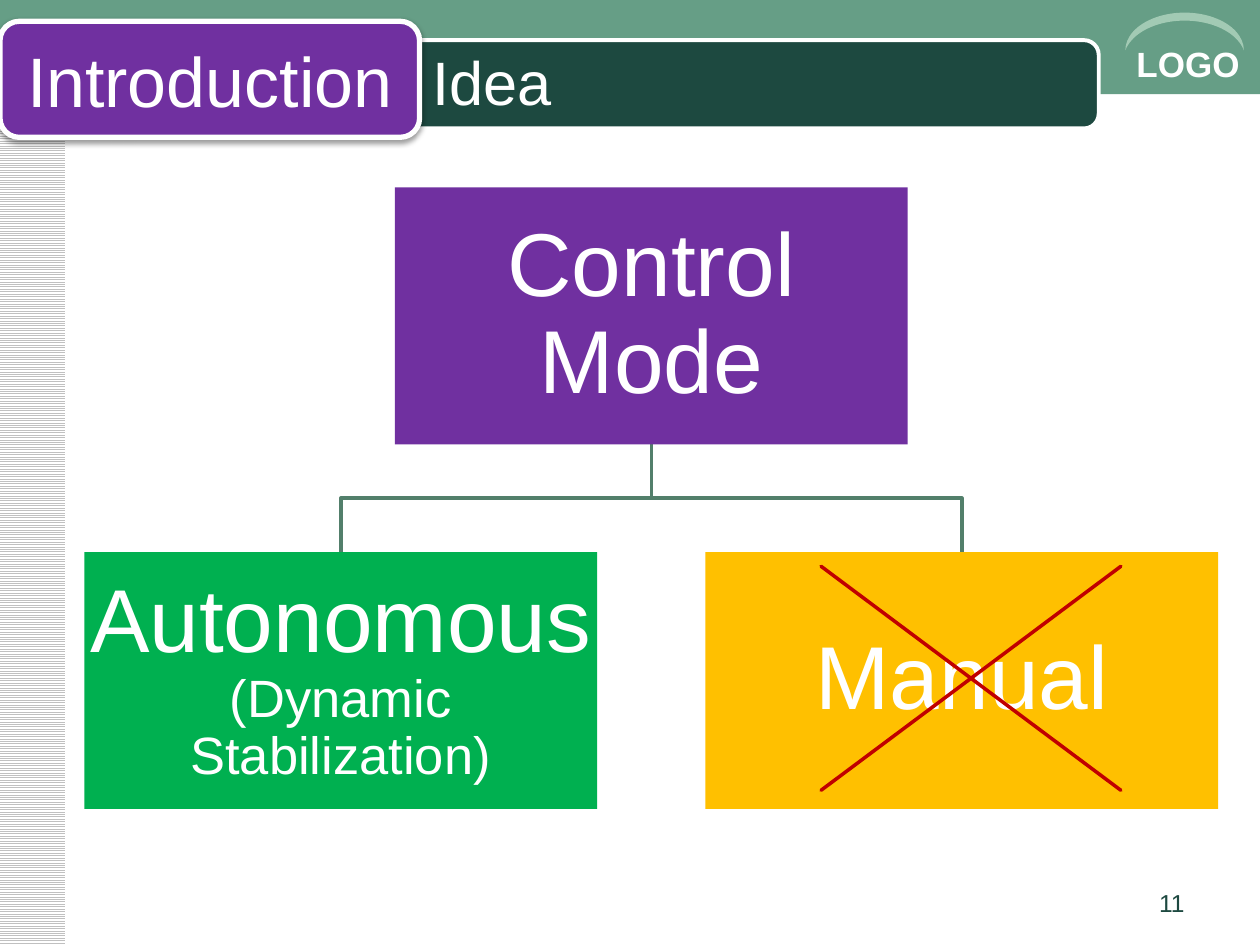
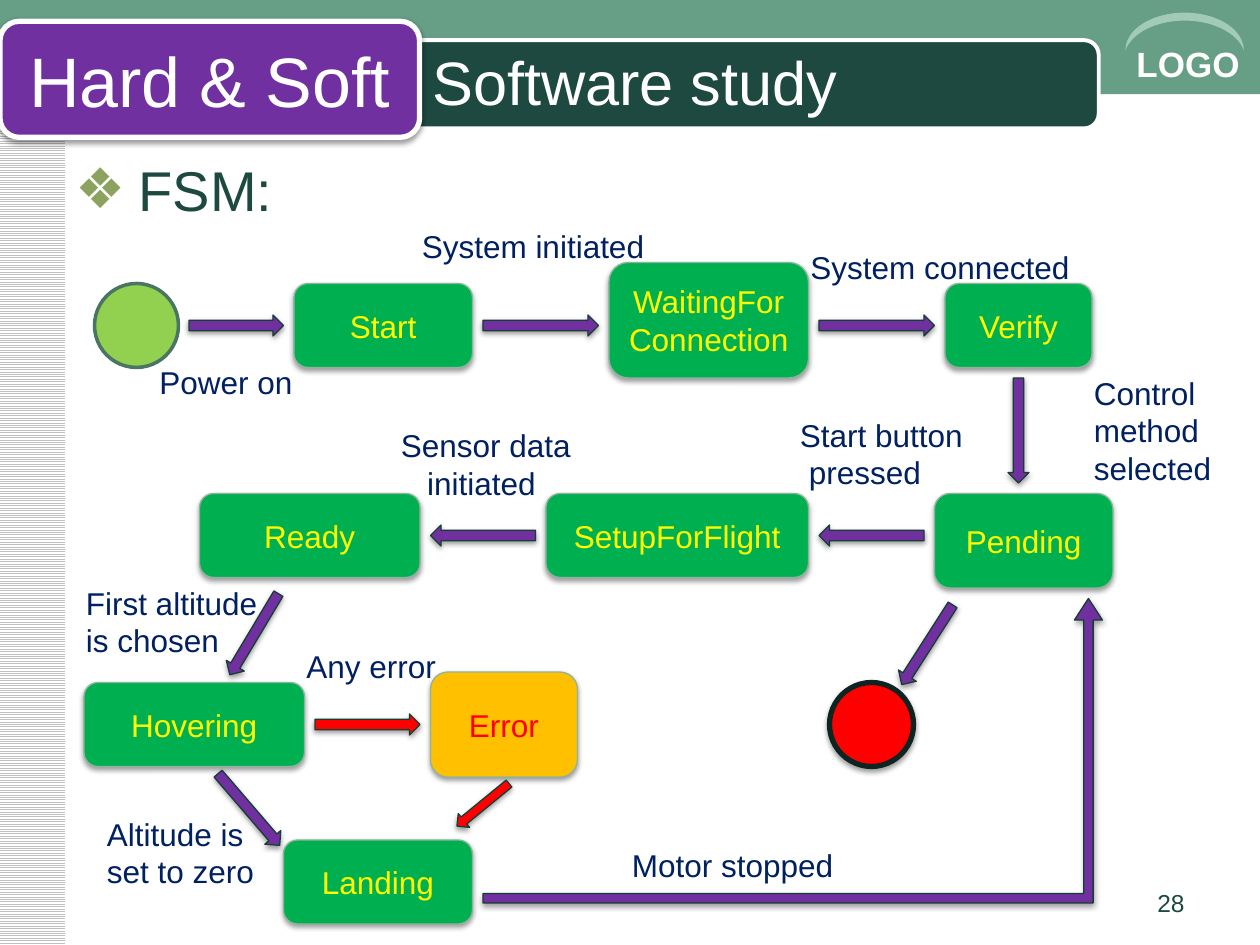
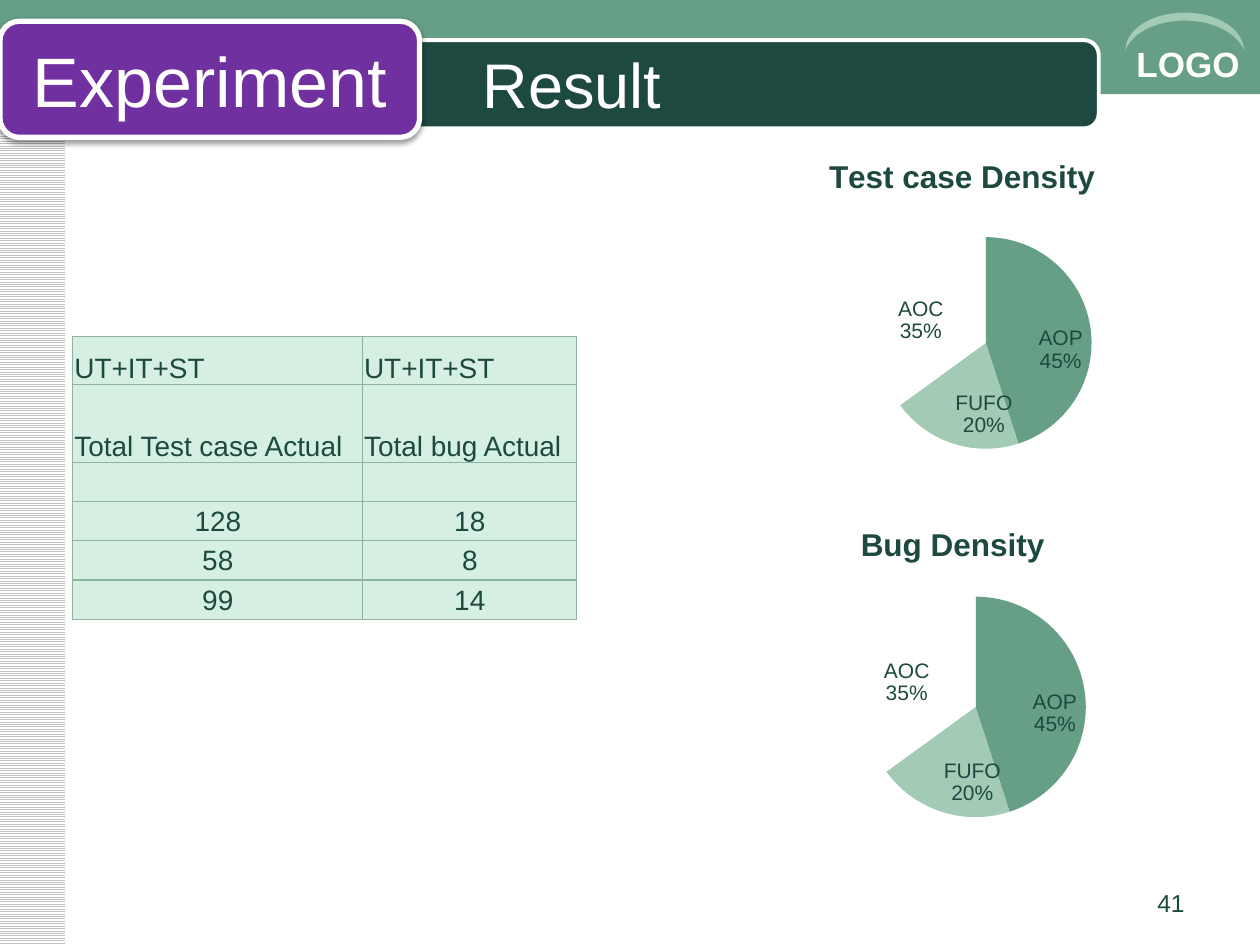
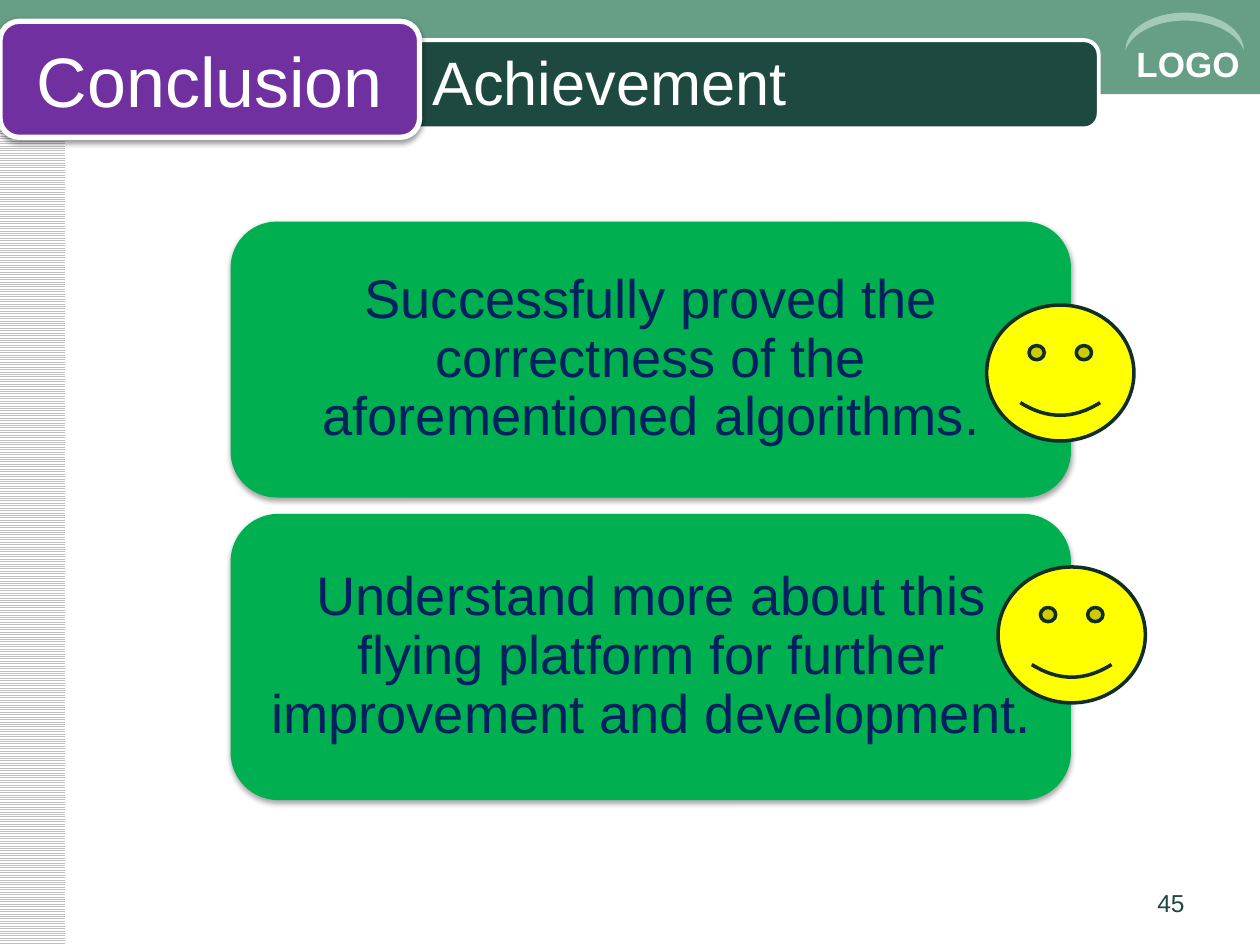
from dataclasses import dataclass

from lxml import etree
from pptx import Presentation
from pptx import util as u
from pptx.chart.data import CategoryChartData
from pptx.dml.color import RGBColor
from pptx.enum import chart as ch, dml, shapes, text
from pptx.oxml.ns import qn

SHAPE = shapes.MSO_SHAPE
ALIGN = text.PP_ALIGN
ANCHOR = text.MSO_ANCHOR


@dataclass(frozen=True)
class Theme:
    font: str = "Arial"
    white: str = "FFFFFF"
    dark: str = "1D4940"
    band: str = "669E86"
    pale: str = "A2CAB4"
    border: str = "8EB49F"
    mint: str = "D5F0E2"
    stripe: str = "C0C0C0"
    branch: str = "527F6B"
    purple: str = "7030A0"
    green: str = "00B050"
    amber: str = "FFC000"
    lime: str = "92D050"
    lime_edge: str = "4B7563"
    red: str = "FF0000"
    cross: str = "C00000"
    yellow: str = "FFFF00"
    navy: str = "002060"
    arrow_edge: str = "163D34"
    final_edge: str = "0E2420"
    smile_edge: str = "112D27"
    bullet: str = "8CA35F"
    badge_size: float = 40
    title_size: float = 35
    result_size: float = 36
    list_size: float = 32
    card_size: float = 31
    node_size: float = 51
    detail_size: float = 30
    logo_size: float = 20
    state_size: float = 18
    cell_size: float = 16
    number_size: float = 14
    slice_size: float = 12


THEME = Theme()


@dataclass(frozen=True)
class Box:
    left: float
    top: float
    width: float
    height: float

    def inside(self, left, top, width, height):
        return Box(self.left + left, self.top + top, width, height)

    def cells(self, column, row, columns, rows):
        cell = self.width / 120
        return self.inside(column * cell, row * cell, columns * cell, rows * cell)

    def emu(self):
        return [u.Cm(side) for side in (self.left, self.top, self.width, self.height)]


PAGE = Box(0, 0, 25.4, 19.05)
TITLE = Box(8.46, 0.84, 14.4, 1.57)


def rgb(color):
    return RGBColor.from_string(color)


def style_font(font, size, color, bold=False):
    font.name = THEME.font
    font.size = u.Pt(size)
    font.bold = bold
    font.color.rgb = rgb(color)


def write(frame, words, size, color, align=ALIGN.LEFT, bold=False):
    frame.text = words
    for paragraph in frame.paragraphs:
        paragraph.alignment = align
        for run in paragraph.runs:
            style_font(run.font, size, color, bold)


def add_shadow(shape, opacity=38):
    effects = shape.element.spPr.find(qn("a:effectLst"))
    shadow = etree.SubElement(effects, qn("a:outerShdw"), blurRad=str(u.Pt(3.1)),
                              dist=str(u.Pt(1.6)), dir="5400000", rotWithShape="0")
    shade = etree.SubElement(shadow, qn("a:srgbClr"), val="000000")
    etree.SubElement(shade, qn("a:alpha"), val=str(opacity * 1000))


def set_line(shape, color, width):
    if color:
        shape.line.color.rgb = rgb(color)
        shape.line.width = u.Pt(width)
    else:
        shape.line.fill.background()


def add_figure(slide, kind, box, fill, line=None, width=0.75, shadow=0, turn=0, adjust=()):
    figure = slide.shapes.add_shape(kind, *box.emu())
    figure.shadow.inherit = False
    figure.fill.solid()
    figure.fill.fore_color.rgb = rgb(fill)
    set_line(figure, line, width)
    figure.rotation = turn
    for index, value in enumerate(adjust):
        figure.adjustments[index] = value
    if shadow:
        add_shadow(figure, shadow)
    return figure


def caption(figure, words, size, color, inset=None, spacing=None):
    frame = figure.text_frame
    frame.word_wrap = True
    frame.vertical_anchor = ANCHOR.MIDDLE
    if inset is not None:
        frame.margin_left = frame.margin_right = u.Cm(inset)
        frame.margin_top = frame.margin_bottom = u.Cm(inset)
    write(frame, words, size, color, ALIGN.CENTER)
    if spacing:
        frame.paragraphs[0].line_spacing = spacing


def add_words(slide, box, words, size, color, align=ALIGN.LEFT, bold=False, wrap=True):
    words_box = slide.shapes.add_textbox(*box.emu())
    words_box.text_frame.word_wrap = wrap
    write(words_box.text_frame, words, size, color, align, bold)
    return words_box


def place(placeholder, box):
    placeholder.left, placeholder.top, placeholder.width, placeholder.height = box.emu()
    placeholder.text_frame.auto_size = text.MSO_AUTO_SIZE.NONE


def build_master(prs, slide, page):
    stripes = add_figure(slide, SHAPE.RECTANGLE, page.inside(-0.03, 0, 1.35, page.height), THEME.white)
    stripes.fill.patterned()
    stripes.fill.pattern = dml.MSO_PATTERN.LIGHT_HORIZONTAL
    stripes.fill.fore_color.rgb = rgb(THEME.stripe)
    stripes.fill.back_color.rgb = rgb(THEME.white)
    band = add_figure(slide, SHAPE.RECTANGLE, page.inside(0, 0, 25.43, 1.9), THEME.band)
    title_bar = add_figure(slide, SHAPE.ROUNDED_RECTANGLE, page.inside(0.84, 0.81, 21.31, 1.78),
                           THEME.dark, THEME.white, 2.25)
    logo = add_words(slide, page.inside(22.66, 0.74, 2.74, 1.09), "LOGO",
                     THEME.logo_size, THEME.white, bold=True)
    arc = add_figure(slide, SHAPE.MOON, page.inside(23.5, -0.56, 0.76, 2.39), THEME.pale,
                     turn=90, adjust=[0.212])
    for number, part in enumerate((stripes, band, title_bar, logo, arc), 100):
        part.element.nvSpPr.cNvPr.set("id", str(number))
        prs.slide_master.shapes.element.append(part.element)


def add_header(slide, page, section, title, number, title_box=TITLE,
               title_size=THEME.title_size, align=ALIGN.LEFT):
    heading = slide.shapes.title
    place(heading, title_box)
    heading.text_frame.vertical_anchor = ANCHOR.MIDDLE
    write(heading.text_frame, title, title_size, THEME.white, align)
    badge = add_figure(slide, SHAPE.ROUNDED_RECTANGLE, page.inside(0, 0.43, 8.46, 2.34),
                       THEME.purple, THEME.white, 3, shadow=38)
    caption(badge, section, THEME.badge_size, THEME.white)
    add_words(slide, page.inside(18.21, 17.78, 5.92, 0.89), number,
              THEME.number_size, THEME.dark, ALIGN.RIGHT)


def add_branch(slide, parent, child):
    start_x = parent.left + parent.width / 2
    start_y = parent.top + parent.height
    end_x = child.left + child.width / 2
    middle_y = (start_y + child.top) / 2
    builder = slide.shapes.build_freeform(u.Cm(start_x), u.Cm(start_y))
    corners = [(start_x, middle_y), (end_x, middle_y), (end_x, child.top)]
    builder.add_line_segments([(u.Cm(x), u.Cm(y)) for x, y in corners], close=False)
    branch = builder.convert_to_shape()
    branch.shadow.inherit = False
    branch.fill.background()
    set_line(branch, THEME.branch, 2)


def add_control_tree(slide, area):
    width, height = 10.34, 5.18
    low = area.height - height
    root = area.inside((area.width - width) / 2, 0, width, height)
    autonomous = area.inside(0, low, width, height)
    manual = area.inside(area.width - width, low, width, height)
    for child in (manual, autonomous):
        add_branch(slide, root, child)
    for box, words, color in (
        (root, "Control Mode", THEME.purple),
        (autonomous, "Autonomous\v(Dynamic Stabilization)", THEME.green),
        (manual, "Manual", THEME.amber),
    ):
        node = add_figure(slide, SHAPE.RECTANGLE, box, color)
        caption(node, words, THEME.node_size, THEME.white, inset=0.1, spacing=0.9)
        for detail in node.text_frame.paragraphs[0].runs[1:]:
            detail.font.size = u.Pt(THEME.detail_size)
    add_figure(slide, SHAPE.MATH_MULTIPLY, manual.inside(-0.46, -1.8, 11.63, 8.69),
               THEME.cross, THEME.cross, 2, adjust=[0])


def add_list(slide, box, words):
    body = slide.placeholders[1]
    place(body, box)
    body.text_frame.text = words
    for item in body.text_frame.paragraphs:
        properties = item._p.get_or_add_pPr()
        properties.set("marL", str(u.Cm(1.27)))
        properties.set("indent", str(-u.Cm(1.27)))
        bullet_color = etree.SubElement(properties, qn("a:buClr"))
        etree.SubElement(bullet_color, qn("a:srgbClr"), val=THEME.bullet)
        etree.SubElement(properties, qn("a:buChar"), char="❖")
        item.space_before = u.Pt(0)
        for run in item.runs:
            style_font(run.font, THEME.list_size, THEME.dark)


def add_states(slide, area):
    states = [
        ("Start", 28, 27, 17, 8),
        ("WaitingFor\vConnection", 58, 25, 19, 11),
        ("Verify", 90, 27, 14, 8),
        ("Pending", 89, 47, 17, 9),
        ("SetupForFlight", 52, 47, 25, 8),
        ("Ready", 19, 47, 21, 8),
        ("Hovering", 8, 65, 21, 8),
        ("Landing", 27, 80, 18, 8),
        ("Error", 41, 64, 14, 10),
    ]
    add_figure(slide, SHAPE.OVAL, area.cells(9, 27, 8, 8), THEME.lime, THEME.lime_edge, 2)
    for name, *cells in states:
        fill, ink = (THEME.amber, THEME.red) if name == "Error" else (THEME.green, THEME.yellow)
        state = add_figure(slide, SHAPE.ROUNDED_RECTANGLE, area.cells(*cells), fill,
                           THEME.border, shadow=38)
        caption(state, name, THEME.state_size, ink)
    add_figure(slide, SHAPE.OVAL, area.cells(79, 65, 8, 8), THEME.red, THEME.final_edge, 3, shadow=38)


def add_transitions(slide, area):
    normal = [
        (18, 30, 9, 2, 0),
        (46, 30, 11, 2, 0),
        (78, 30, 11, 2, 0),
        (92, 40, 10, 2, 90),
        (78, 50, 10, 2, 180),
        (41, 50, 10, 2, 180),
        (19.7, 59.4, 9, 2, 120.9),
        (19.2, 76.1, 9, 2, 49.3),
        (83.8, 60.4, 9, 2, 122.6),
    ]
    failure = [(42.8, 75.8, 6.4, 1.7, 140.7), (30, 68, 10, 2, 0)]
    for color, arrows in ((THEME.purple, normal), (THEME.red, failure)):
        for *cells, turn in arrows:
            add_figure(slide, SHAPE.RIGHT_ARROW, area.cells(*cells), color,
                       THEME.arrow_edge, shadow=38, turn=turn)
    add_figure(slide, SHAPE.BENT_UP_ARROW, area.cells(46, 57, 59, 29), THEME.purple,
               THEME.arrow_edge, shadow=38, adjust=[0.031, 0.046, 0.071])


def add_events(slide, area):
    events = [
        ("Power on", 14, 34, 15.2, 0),
        ("System initiated", 39, 21, 23.8, 0),
        ("System connected", 76, 23, 27.4, 0),
        ("Control\nmethod\nselected", 103, 35, 13.7, 0),
        ("Start button\npressed", 75, 39, 18.1, 0.18),
        ("Sensor data\ninitiated", 37, 40, 19.6, 0.53),
        ("First altitude\nis chosen", 7, 55, 19, 0),
        ("Any error", 28, 61, 14.9, 0),
        ("Altitude is\nset to zero", 9, 77, 16.6, 0),
        ("Motor stopped", 59, 80, 21.7, 0),
    ]
    for words, column, row, columns, indent in events:
        rows = 1.2 + 3.6 * len(words.split("\n"))
        event = add_words(slide, area.cells(column, row, columns, rows), words,
                          THEME.state_size, THEME.navy, wrap=False)
        event.text_frame.auto_size = text.MSO_AUTO_SIZE.SHAPE_TO_FIT_TEXT
        if indent:
            event.text_frame.paragraphs[-1]._p.get_or_add_pPr().set("marL", str(u.Cm(indent)))


def style_cell(cell, words, centred):
    cell.margin_left = cell.margin_right = cell.margin_top = u.Cm(0.03)
    cell.margin_bottom = 0
    cell.vertical_anchor = ANCHOR.MIDDLE if centred else ANCHOR.BOTTOM
    write(cell.text_frame, words, THEME.cell_size, THEME.dark,
          ALIGN.CENTER if centred else ALIGN.LEFT)
    properties = cell._tc.get_or_add_tcPr()
    for side in ("a:lnL", "a:lnR", "a:lnT", "a:lnB"):
        edge = etree.SubElement(properties, qn(side), w=str(u.Pt(0.75)))
        paint = etree.SubElement(edge, qn("a:solidFill"))
        etree.SubElement(paint, qn("a:srgbClr"), val=THEME.border)
    cell.fill.solid()
    cell.fill.fore_color.rgb = rgb(THEME.mint)


def add_totals(slide, box):
    rows = [
        ("UT+IT+ST", "UT+IT+ST"),
        ("Total Test case Actual", "Total bug Actual"),
        ("", ""),
        ("128", "18"),
        ("58", "8"),
        ("99", "14"),
    ]
    totals = slide.shapes.add_table(len(rows), 2, *box.emu()).table
    for column, width in zip(totals.columns, (5.84, 4.32)):
        column.width = u.Cm(width)
    for row, height in zip(totals.rows, [0.97, 1.57] + [0.79] * 4):
        row.height = u.Cm(height)
    for index, values in enumerate(rows):
        for column, words in enumerate(values):
            style_cell(totals.cell(index, column), words, centred=index > 2)


def set_plot_box(chart, box, left, top, diameter):
    plot_area = chart.element.chart.plotArea
    for automatic in plot_area.findall(qn("c:layout")):
        plot_area.remove(automatic)
    layout = etree.Element(qn("c:layout"))
    manual = etree.SubElement(layout, qn("c:manualLayout"))
    settings = [
        ("layoutTarget", "inner"),
        ("xMode", "edge"),
        ("yMode", "edge"),
        ("x", left / box.width),
        ("y", top / box.height),
        ("w", diameter / box.width),
        ("h", diameter / box.height),
    ]
    for tag, value in settings:
        shown = value if isinstance(value, str) else f"{value:.3f}"
        etree.SubElement(manual, qn(f"c:{tag}"), val=shown)
    plot_area.insert(0, layout)


def add_density(slide, box, title, series_name, plot_box):
    data = CategoryChartData()
    data.categories = ["AOP", "FUFO", "AOC"]
    data.add_series(series_name, (45, 20, 35))
    density = slide.shapes.add_chart(ch.XL_CHART_TYPE.PIE, *box.emu(), data).chart
    style_font(density.font, 10, THEME.dark)
    density.has_legend = False
    density.has_title = True
    write(density.chart_title.text_frame, title, THEME.state_size, THEME.dark,
          ALIGN.CENTER, bold=True)
    plot = density.plots[0]
    plot.vary_by_categories = True
    for index, color in enumerate((THEME.band, THEME.pale, THEME.white)):
        wedge = plot.series[0].points[index].format
        wedge.fill.solid()
        wedge.fill.fore_color.rgb = rgb(color)
    plot.has_data_labels = True
    labels = plot.data_labels
    style_font(labels.font, THEME.slice_size, THEME.dark)
    labels.show_value = False
    labels.show_percentage = labels.show_category_name = True
    labels.position = ch.XL_LABEL_POSITION.INSIDE_END
    for bubble in list(density.element.iter(qn("c:showBubbleSize"))):
        separator = etree.Element(qn("c:separator"))
        separator.text = "\n"
        bubble.addnext(separator)
    set_plot_box(density, box, *plot_box)


def add_achievements(slide, area):
    achievements = [
        ("Successfully proved the correctness of the aforementioned algorithms.",
         0, 5.56, 15.24, 1.68),
        ("Understand more about this flying platform for further improvement and development.",
         5.89, 5.77, 15.47, 1.07),
    ]
    cards = []
    for words, top, height, smile_left, smile_top in achievements:
        box = area.inside(0, top, area.width, height)
        card = add_figure(slide, SHAPE.ROUNDED_RECTANGLE, box, THEME.green, shadow=35)
        caption(card, words, THEME.card_size, THEME.navy, inset=0.33, spacing=0.9)
        cards.append(box.inside(smile_left, smile_top, 2.97, 2.74))
    for smile in cards:
        add_figure(slide, SHAPE.SMILEY_FACE, smile, THEME.yellow, THEME.smile_edge, 2)


def main():
    prs = Presentation()
    prs.slide_width, prs.slide_height = u.Cm(PAGE.width), u.Cm(PAGE.height)
    title_only, title_and_list = prs.slide_layouts[5], prs.slide_layouts[1]

    idea = prs.slides.add_slide(title_only)
    build_master(prs, idea, PAGE)
    add_header(idea, PAGE, "Introduction", "Idea", "11")
    add_control_tree(idea, Box(1.7, 3.78, 22.86, 12.53))

    software = prs.slides.add_slide(title_and_list)
    add_header(software, PAGE, "Hard & Soft", "Software study", "28")
    add_list(software, Box(1.27, 3, 22.86, 13.94), "FSM:")
    add_states(software, PAGE)
    add_transitions(software, PAGE)
    add_events(software, PAGE)

    result = prs.slides.add_slide(title_only)
    add_header(result, PAGE, "Experiment", "Result", "41", Box(1.27, 0.89, 20.52, 1.57),
               THEME.result_size, ALIGN.CENTER)
    add_totals(result, Box(1.47, 6.78, 10.16, 5.7))
    add_density(result, Box(13.97, 2.74, 10.85, 7.62), "Test case Density",
                "Test case Density", (3.76, 2.04, 4.27))
    add_density(result, Box(13.77, 10.16, 10.87, 7.65), "Bug Density",
                "Series 1", (3.67, 1.87, 4.45))

    achievement = prs.slides.add_slide(title_only)
    add_header(achievement, PAGE, "Conclusion", "Achievement", "45")
    add_achievements(achievement, Box(4.65, 4.47, 16.94, 11.66))

    prs.save("out.pptx")


if __name__ == "__main__":
    main()
